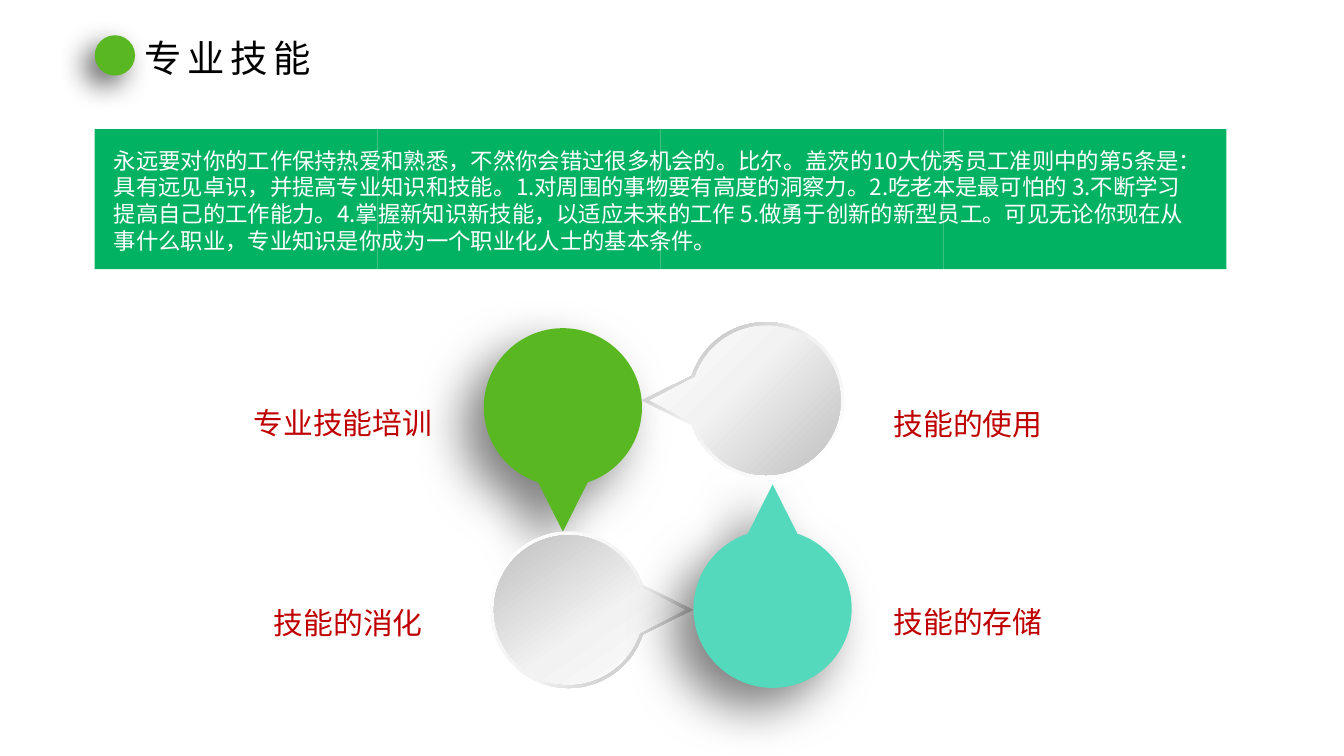
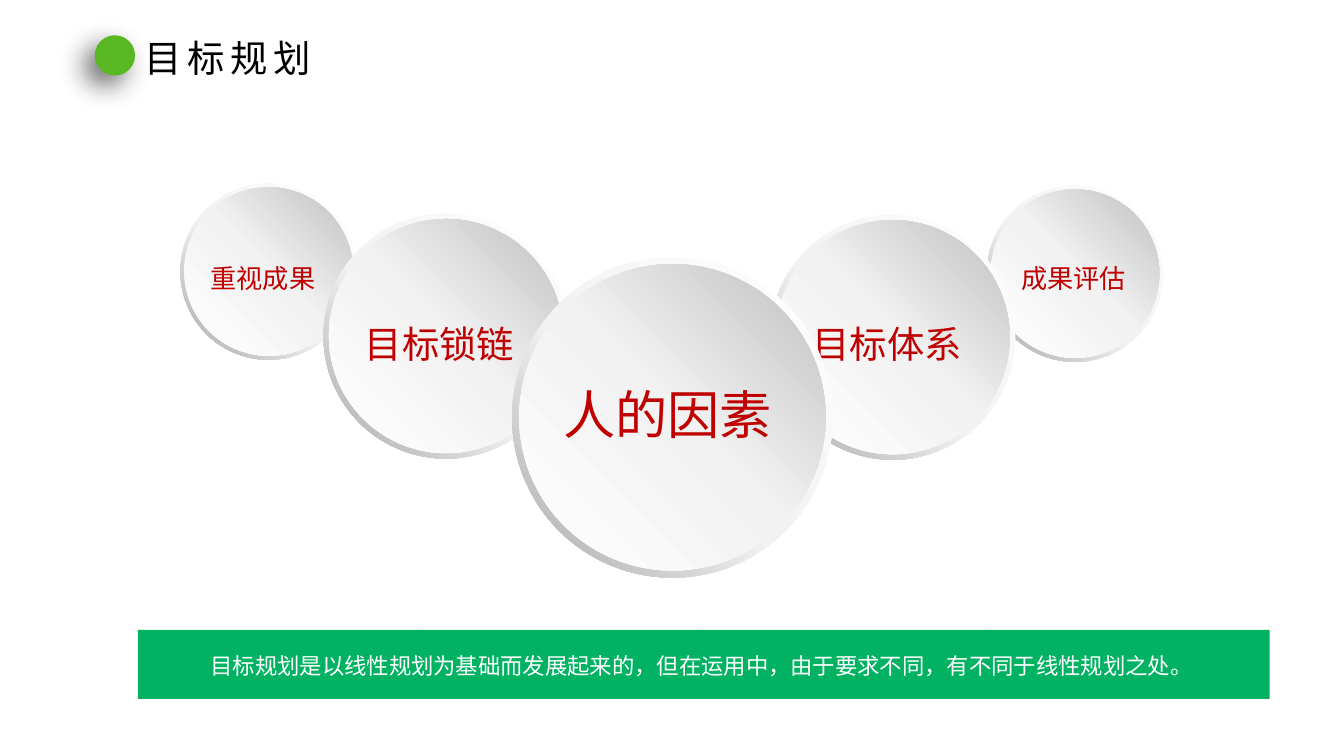
import math
from dataclasses import dataclass

from pptx import Presentation
from pptx.dml.color import RGBColor
from pptx.enum import shapes as en, text as et
from pptx.oxml import parse_xml
from pptx.oxml.ns import nsdecls, qn
from pptx.util import Pt

FONT = "Noto Sans CJK SC"
COLORS = {
    "band": "01B262",
    "green": "59B721",
    "teal": "54D9BC",
    "label": "C00000",
    "title": "000000",
    "white": "FFFFFF",
    "light": "F2F2F2",
    "mid": "BFBFBF",
    "dark": "A6A6A6",
    "shadow": "000000",
}
TILE_W, TILES = 202.1, 4
DISC_RIM, DISC_INSET = 0.049, 0.022
PIN_HALF_ANGLE = 18.3


@dataclass(frozen=True)
class Label:
    text: str
    x: float
    y: float
    w: float
    h: float
    size: float


@dataclass(frozen=True)
class Pin:
    cx: float
    cy: float
    radius: float
    reach: float
    heading: float


@dataclass(frozen=True)
class Disc:
    x: float
    y: float
    size: float
    label: Label


@dataclass(frozen=True)
class Gradient:
    middle: int
    end: str
    angle: float


@dataclass(frozen=True)
class Shadow:
    opacity: int
    blur: float
    distance: float


DOT_SHADOW = Shadow(60, 20, 10)
PIN_SHADOW = Shadow(50, 35, 20)

SKILL_TEXT = [
    "永远要对你的工作保持热爱和熟悉，不然你会错过很多机会的。比尔。盖茨的10大优秀员工准则中的第5条是：",
    "具有远见卓识，并提高专业知识和技能。1.对周围的事物要有高度的洞察力。2.吃老本是最可怕的 3.不断学习",
    "提高自己的工作能力。4.掌握新知识新技能，以适应未来的工作 5.做勇于创新的新型员工。可见无论你现在从",
    "事什么职业，专业知识是你成为一个职业化人士的基本条件。",
]
GOAL_TEXT = ["目标规划是以线性规划为基础而发展起来的，但在运用中，由于要求不同，有不同于线性规划之处。"]

SKILL_LABELS = [
    Label("技能的消化", 188.6, 428.4, 122.4, 33.1, 21.3),
    Label("技能的存储", 631.4, 427.7, 122.4, 33.1, 21.3),
    Label("技能的使用", 631.4, 285.8, 122.4, 33.1, 21.3),
    Label("专业技能培训", 174.2, 285.1, 144, 33.1, 21.3),
]
DISCS = [
    Disc(704.9, 132.5, 126, Label("成果评估", 722.2, 183.6, 90, 30.2, 18.7)),
    Disc(128.9, 131, 126, Label("重视成果", 143.3, 183.6, 90, 30.2, 18.7)),
    Disc(550.1, 153.4, 175, Label("目标体系", 573.1, 225.4, 122.4, 39.6, 26.7)),
    Disc(231.1, 152.6, 175, Label("目标锁链", 253.4, 225.4, 122.4, 39.6, 26.7)),
    Disc(365.8, 183.6, 229, Label("人的因素", 395.3, 269.3, 165.6, 52.6, 37.3)),
]


def rgb(name: str) -> RGBColor:
    return RGBColor.from_string(COLORS[name])


def paint(sp, color: str) -> None:
    sp.shadow.inherit = False
    sp.line.fill.background()
    sp.fill.solid()
    sp.fill.fore_color.rgb = rgb(color)


def paint_gradient(sp, grad: Gradient) -> None:
    sp.shadow.inherit = False
    sp.line.fill.background()
    sp.fill.gradient()
    stops = [(0, "white"), (grad.middle, "light"), (100, grad.end)]
    gs = "".join(
        f'<a:gs pos="{pos * 1000}"><a:srgbClr val="{COLORS[name]}"/></a:gs>'
        for pos, name in stops
    )
    new = parse_xml(
        f'<a:gradFill {nsdecls("a")} rotWithShape="1"><a:gsLst>{gs}</a:gsLst>'
        f'<a:lin ang="{round(grad.angle * 60000)}" scaled="0"/></a:gradFill>'
    )
    spPr = sp._element.spPr
    spPr.replace(spPr.find(qn("a:gradFill")), new)


def cast_shadow(sp, shadow: Shadow) -> None:
    effects = sp._element.spPr.find(qn("a:effectLst"))
    effects.append(parse_xml(
        f'<a:outerShdw {nsdecls("a")} blurRad="{Pt(shadow.blur)}" '
        f'dist="{Pt(shadow.distance)}" dir="8100000" algn="tr" rotWithShape="0">'
        f'<a:srgbClr val="{COLORS["shadow"]}">'
        f'<a:alpha val="{shadow.opacity * 1000}"/></a:srgbClr></a:outerShdw>'
    ))


def write(tf, lines: list[str], size: float, color: str,
          spacing: float = 0, pitch: float = 0) -> None:
    tf.word_wrap = False
    tf.auto_size = et.MSO_AUTO_SIZE.NONE
    tf.vertical_anchor = et.MSO_ANCHOR.MIDDLE
    for i, line in enumerate(lines):
        p = tf.paragraphs[0] if i == 0 else tf.add_paragraph()
        p.alignment = et.PP_ALIGN.LEFT
        if pitch:
            p.line_spacing = Pt(pitch)
        r = p.add_run()
        r.text = line
        r.font.name = FONT
        r.font.size = Pt(size)
        r.font.color.rgb = rgb(color)
        rPr = r.font._element
        rPr.append(parse_xml(f'<a:ea {nsdecls("a")} typeface="{FONT}"/>'))
        if spacing:
            rPr.set("spc", str(round(spacing * 100)))


def add_label(s, label: Label) -> None:
    box = s.shapes.add_textbox(Pt(label.x), Pt(label.y), Pt(label.w), Pt(label.h))
    write(box.text_frame, [label.text], label.size, "label")


def add_preset(s, kind, x: float, y: float, w: float, h: float):
    return s.shapes.add_shape(kind, Pt(x), Pt(y), Pt(w), Pt(h))


def add_titled_slide(prs, title: str):
    s = prs.slides.add_slide(prs.slide_layouts[5])
    sp = s.shapes.title
    sp.left, sp.top, sp.width, sp.height = Pt(95.8), Pt(21.6), Pt(138.2), Pt(39.6)
    write(sp.text_frame, [title], 26.7, "title", spacing=4)
    dot = add_preset(s, en.MSO_SHAPE.OVAL, 67.7, 25.2, 28.8, 28.8)
    paint(dot, "green")
    cast_shadow(dot, DOT_SHADOW)
    return s


def add_band(s, x: float, y: float, h: float, text_x: float, lines: list[str]) -> None:
    for i in range(TILES):
        paint(add_preset(s, en.MSO_SHAPE.RECTANGLE, x + i * TILE_W, y, TILE_W, h), "band")
    box = s.shapes.add_textbox(Pt(text_x), Pt(y + 1), Pt(x + TILES * TILE_W - text_x), Pt(h))
    write(box.text_frame, lines, 16, "white", pitch=19.2)


def add_pin(s, pin: Pin):
    def point(radius: float, degrees: float) -> tuple[int, int]:
        a = math.radians(pin.heading + degrees)
        return Pt(pin.cx + radius * math.cos(a)), Pt(pin.cy + radius * math.sin(a))

    turns = (PIN_HALF_ANGLE, 90, 180, 270, 360 - PIN_HALF_ANGLE)
    builder = s.shapes.build_freeform(*point(pin.reach, 0))
    builder.add_line_segments([point(pin.radius, t) for t in turns], close=True)
    sp = builder.convert_to_shape()
    first, *chords = sp._element.spPr.findall(".//" + qn("a:lnTo"))
    start = round((pin.heading + PIN_HALF_ANGLE) % 360 * 60000)
    sweep = round((360 - 2 * PIN_HALF_ANGLE) * 60000)
    radius = Pt(pin.radius)
    first.addnext(parse_xml(
        f'<a:arcTo {nsdecls("a")} wR="{radius}" hR="{radius}" '
        f'stAng="{start}" swAng="{sweep}"/>'
    ))
    for chord in chords:
        chord.getparent().remove(chord)
    return sp


def add_solid_pin(s, cx: float, cy: float, heading: float, color: str) -> None:
    sp = add_pin(s, Pin(cx, cy, 56.5, 88.9, heading))
    paint(sp, color)
    cast_shadow(sp, PIN_SHADOW)


def add_rimmed_pin(s, cx: float, cy: float, heading: float,
                   rim_angle: float, face_angle: float) -> None:
    rim = add_pin(s, Pin(cx, cy, 55.9, 88.6, heading))
    paint_gradient(rim, Gradient(55, "dark", rim_angle))
    face = add_pin(s, Pin(cx, cy, 53.3, 82.8, heading))
    paint_gradient(face, Gradient(43, "mid", face_angle))


def add_disc(s, disc: Disc) -> None:
    rim = add_preset(s, en.MSO_SHAPE.DONUT, disc.x, disc.y, disc.size, disc.size)
    rim.adjustments[0] = DISC_RIM
    paint_gradient(rim, Gradient(55, "dark", 135))
    inset = disc.size * DISC_INSET
    side = disc.size - 2 * inset
    face = add_preset(s, en.MSO_SHAPE.OVAL, disc.x + inset, disc.y + inset, side, side)
    paint_gradient(face, Gradient(51, "mid", 315))
    add_label(s, disc.label)


def build_skills(prs) -> None:
    s = add_titled_slide(prs, "专业技能")
    add_band(s, 67.7, 92.2, 100, 74.2, SKILL_TEXT)
    for label in SKILL_LABELS:
        add_label(s, label)
    add_solid_pin(s, 402.1, 290.9, 90, "green")
    add_rimmed_pin(s, 406.1, 435.6, 0, 45, 235)
    add_solid_pin(s, 551.9, 434.9, 270, "teal")
    add_rimmed_pin(s, 547.2, 286, 180, 235, 45)


def build_goals(prs) -> None:
    s = add_titled_slide(prs, "目标规划")
    add_band(s, 98.6, 450, 49.2, 143.3, GOAL_TEXT)
    for disc in DISCS:
        add_disc(s, disc)


def main() -> None:
    prs = Presentation()
    prs.slide_width, prs.slide_height = Pt(960), Pt(540)
    build_skills(prs)
    build_goals(prs)
    prs.save("out.pptx")


if __name__ == "__main__":
    main()
